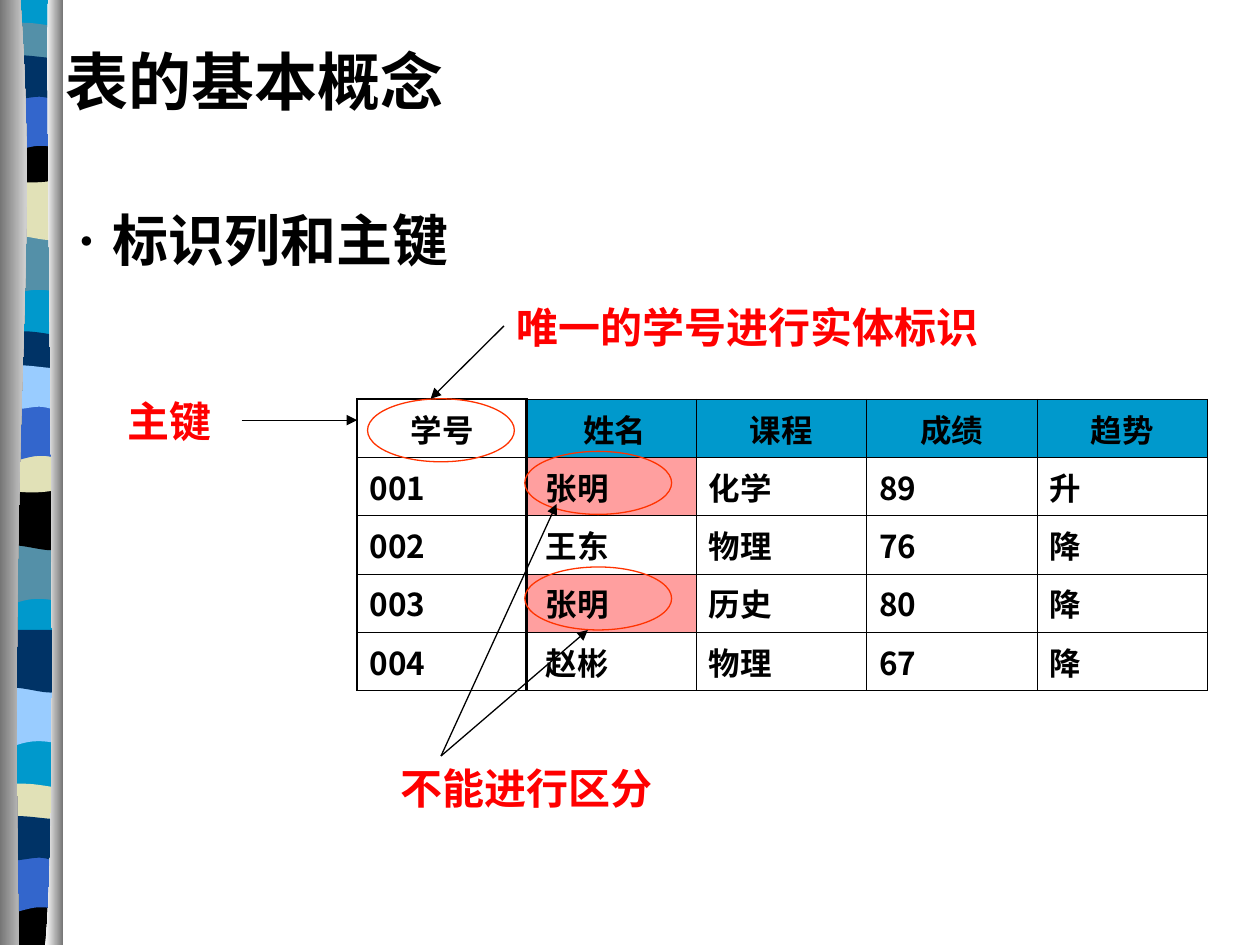
from dataclasses import dataclass
from typing import NamedTuple, Optional

from lxml.etree import SubElement
from pptx import Presentation
from pptx.dml.color import RGBColor
from pptx.enum.shapes import MSO_CONNECTOR as Connector, MSO_SHAPE as Preset
from pptx.enum.text import MSO_ANCHOR as Anchor, MSO_AUTO_SIZE as AutoSize, PP_ALIGN as Align
from pptx.oxml.ns import qn
from pptx.util import Cm, Pt


@dataclass(frozen=True)
class Theme:
    black: str = "000000"
    cyan: str = "0099CC"
    teal: str = "5490A8"
    sand: str = "E1E1B7"
    blue: str = "3366CC"
    navy: str = "003366"
    sky: str = "99CCFF"
    grey: str = "767676"
    white: str = "FFFFFF"
    pink: str = "FF9F9F"
    red: str = "FF0000"
    ring: str = "FF3300"
    chinese: str = "Noto Sans CJK SC"
    title_size: int = 36
    topic_size: int = 32
    label_size: int = 24
    cell_size: int = 18
    thin: float = 0.45
    arrow: float = 0.75
    thick: float = 1.08


THEME = Theme()


class Box(NamedTuple):
    left: float
    top: float
    width: float
    height: float

    def lengths(self):
        return [Cm(value) for value in self]


class Band(NamedTuple):
    outline: str
    top: float
    color: str


class Arrow(NamedTuple):
    start: tuple
    end: tuple
    source: Optional[str] = None
    site: int = 0


class Style(NamedTuple):
    font: str
    size: int
    color: str = THEME.black


# Outlines in cm: pairs are line ends, sextuples are Bézier segments
W = 1.19
OUTLINES = {
    "ribbon": [(W, 0), (W, 19), (0, 19), (0, 0)],
    "dip": [(W, 0), (W, 1.19), (0.38, 0.97, 0.2, 1.37, 0, 1.19), (0, 0)],
    "swell": [(W, 0), (W, 1.19), (0.99, 1.4, 0.38, 1.07, 0, 1.19), (0, 0)],
    "narrow": [(W, 0.13), (W, 0.74), (0.99, 0.84, 0.2, 0.84, 0, 0.74), (0, 0.13),
               (0.08, 0, 0.25, 0.03, 0.46, 0.03), (0.66, 0.03, 1.04, 0.1, W, 0.13)],
    "bowl": [(W, 0), (W, 0.84), (0.99, 0.97, 0.2, 0.97, 0, 0.84), (0, 0),
             (0.74, 0.13, 0.94, 0, W, 0)],
    "base": [(W, 0), (W, 0.96), (0, 0.96), (0, 0), (0.74, 0.13, 0.94, 0, W, 0)],
    "arch": [(W, 0), (W, 1.19), (1.02, 1.04, 0.94, 1.04, 0.74, 1.04),
             (0.53, 1.04, 0.18, 1.19, 0, 1.19), (0, 0)],
    "ripple": [(W, 0.13), (W, 0.91), (1.12, 1.04, 0.94, 0.91, 0.74, 0.91),
               (0.53, 0.91, 0.13, 1.04, 0, 0.91), (0, 0.13),
               (0.18, 0, 0.81, 0.13, 1.02, 0.13), (1.22, 0.13, 1.14, 0.13, W, 0.13)],
    "left spine": [(0.41, 0), (0.79, 5.51, 0.18, 7.52, 0.38, 19.05), (0, 19.05), (0, 0)],
    "right spine": [(0.97, 0), (0.91, 3.18, 1.22, 16.43, 0.91, 19.05), (1.27, 19.05), (1.27, 0)],
}
BANDS = [
    Band("ribbon", 0, THEME.cyan),
    Band("dip", 4.72, THEME.teal), Band("swell", 3.58, THEME.sand),
    Band("narrow", 0.43, THEME.teal), Band("bowl", 2.74, THEME.black),
    Band("arch", 1.9, THEME.blue), Band("ripple", 1.04, THEME.navy),
    Band("dip", 10.95, THEME.teal), Band("swell", 9.83, THEME.black),
    Band("narrow", 6.65, THEME.navy), Band("bowl", 8.99, THEME.sand),
    Band("arch", 8.15, THEME.blue), Band("ripple", 7.29, THEME.sky),
    Band("dip", 13.82, THEME.sky), Band("swell", 12.7, THEME.navy),
    Band("narrow", 15.77, THEME.sand), Band("base", 18.09, THEME.black),
    Band("arch", 17.25, THEME.blue), Band("ripple", 16.38, THEME.navy),
]
COURSES = [
    [" 姓名", "课程", "成绩", "趋势"],
    [" 张明", "化学", "89", "升"],
    [" 王东", "物理", "76", "降"],
    [" 张明", "历史", "80", "降"],
    [" 赵彬", "物理", "67", "降"],
]
STUDENT_IDS = [["学号"], ["001"], ["002"], ["003"], ["004"]]
LABELS = {
    "唯一的学号进行实体标识": Box(10.16, 5.93, 13.76, 1.28),
    "不能进行区分": Box(7.83, 15.24, 7.62, 1.28),
    "主键": Box(2.33, 7.83, 2.54, 1.28),
}
RINGS = [(7.41, 8.04), (10.58, 11.43), (10.58, 9.1)]
ARROWS = [
    Arrow((10.16, 6.57), (8.68, 8.04), "唯一的学号进行实体标识", 1),
    Arrow((8.89, 15.24), (11.85, 12.7)),
    Arrow((8.89, 15.24), (11.22, 10.16)),
    Arrow((4.87, 8.47), (7.2, 8.47), "主键", 3),
]


def rgb(color: str) -> RGBColor:
    return RGBColor.from_string(color)


def set_all(target, values: dict) -> None:
    for name, value in values.items():
        setattr(target, name, value)


def draw_outline(slide, name: str, left: float = 0, top: float = 0):
    start, *segments = OUTLINES[name]
    points = [(Cm(left + x), Cm(top + y))
              for segment in segments for x, y in zip(segment[::2], segment[1::2])]
    builder = slide.shapes.build_freeform(Cm(left + start[0]), Cm(top + start[1]), scale=1.0)
    builder.add_line_segments(points, close=True)
    shape = builder.convert_to_shape()
    # Join each run of three points into one curve
    steps = iter(list(shape._element.iter(qn("a:lnTo"))))
    for segment in segments:
        step = next(steps)
        if len(segment) == 6:
            step.tag = qn("a:cubicBezTo")
            for _ in range(2):
                extra = next(steps)
                step.append(extra[0])
                extra.getparent().remove(extra)
    shape.shadow.inherit = False
    shape.line.fill.background()
    return shape


def paint(shape, color: str) -> None:
    shape.fill.solid()
    shape.fill.fore_color.rgb = rgb(color)


def shade(shape, colors: tuple) -> None:
    shape.fill.gradient()
    shape.fill.gradient_angle = 0
    for stop, color, position in zip(shape.fill.gradient_stops, colors, (0, 1)):
        stop.position = position
        stop.color.rgb = rgb(color)


def write(frame, text: str, style: Style, frame_format: dict, paragraph_format: dict):
    set_all(frame, {"word_wrap": True, **frame_format})
    paragraph = frame.paragraphs[0]
    set_all(paragraph, paragraph_format)
    run = paragraph.add_run()
    run.text = text
    set_all(run.font, {"name": style.font, "size": Pt(style.size), "bold": True})
    run.font.color.rgb = rgb(style.color)
    SubElement(run.font._element, qn("a:ea"), typeface=THEME.chinese)
    return paragraph


def add_text(slide, text: str, box: Box, style: Style, frame_format: dict, paragraph_format: dict):
    holder = slide.shapes.add_textbox(*box.lengths())
    return holder, write(holder.text_frame, text, style, frame_format, paragraph_format)


def set_borders(cell, widths: dict) -> None:
    properties = cell._tc.get_or_add_tcPr()
    for index, (side, width) in enumerate(widths.items()):
        line = SubElement(properties, qn(f"a:ln{side}"), w=str(int(Pt(width))))
        SubElement(SubElement(line, qn("a:solidFill")), qn("a:srgbClr"), val=THEME.black)
        properties.insert(index, line)


def add_grid(slide, rows: list, box: Box, fills: dict, middle: bool, outer: float) -> None:
    table = slide.shapes.add_table(len(rows), len(rows[0]), *box.lengths()).table
    set_all(table, {"first_row": False, "horz_banding": False})
    last = len(rows) - 1
    for r, row in enumerate(rows):
        for c, text in enumerate(row):
            cell = table.cell(r, c)
            cell.vertical_anchor = Anchor.MIDDLE if middle and r else Anchor.TOP
            write(cell.text_frame, text, Style(THEME.chinese, THEME.cell_size), {},
                  {"alignment": Align.LEFT if r else Align.CENTER, "space_after": Pt(3.4)})
            color = fills.get((r, c))
            if color:
                paint(cell, color)
            else:
                cell.fill.background()
            set_borders(cell, {"L": outer, "R": outer,
                               "T": THEME.thin if r else outer,
                               "B": outer if r == last else THEME.thin})


def add_arrow(slide, arrow: Arrow, labels: dict) -> None:
    ends = [Cm(value) for value in arrow.start + arrow.end]
    line = slide.shapes.add_connector(Connector.STRAIGHT, *ends)
    if arrow.source:
        line.begin_connect(labels[arrow.source], arrow.site)
    line.line.color.rgb = rgb(THEME.black)
    line.line.width = Pt(THEME.arrow)
    SubElement(line.line._get_or_add_ln(), qn("a:tailEnd"), type="triangle")
    SubElement(line._element.spPr, qn("a:effectLst"))


def add_ring(slide, box: Box) -> None:
    ring = slide.shapes.add_shape(Preset.OVAL, *box.lengths())
    ring.shadow.inherit = False
    ring.fill.background()
    ring.line.color.rgb = rgb(THEME.ring)
    ring.line.width = Pt(THEME.arrow)


def main() -> None:
    deck = Presentation()
    set_all(deck, {"slide_width": Cm(25.4), "slide_height": Cm(19.05)})
    slide = deck.slides.add_slide(deck.slide_layouts[6])

    # Ribbon between two metal spines
    for band in BANDS:
        paint(draw_outline(slide, band.outline, 0.05, band.top), band.color)
    shade(draw_outline(slide, "left spine"), (THEME.grey, THEME.white))
    shade(draw_outline(slide, "right spine"), (THEME.white, THEME.grey))

    # Title
    add_text(slide, "表的基本概念", Box(1.07, 0.42, 23.5, 2.4),
             Style("Cabin", THEME.title_size), {"vertical_anchor": Anchor.MIDDLE}, {})

    # Tables: the key column stands left of the course table
    fills = {(0, c): THEME.cyan for c in range(4)} | {(r, 0): THEME.pink for r in (1, 3)}
    add_grid(slide, COURSES, Box(10.6, 8.05, 13.74, 5.87), fills, True, THEME.thin)
    add_grid(slide, STUDENT_IDS, Box(7.2, 8.05, 3.43, 5.87), {}, False, THEME.thick)

    # Bulleted topic
    _, topic = add_text(slide, "标识列和主键", Box(1.06, 4.02, 16.3, 1.9),
                        Style("Arial Narrow", THEME.topic_size), {},
                        {"alignment": Align.JUSTIFY, "space_before": Pt(8)})
    bullet = topic._p.get_or_add_pPr()
    bullet.set("marL", str(Cm(0.95)))
    bullet.set("indent", str(-Cm(0.95)))
    SubElement(SubElement(bullet, qn("a:buClr")), qn("a:srgbClr"), val=THEME.black)
    SubElement(bullet, qn("a:buSzPct"), val="80000")
    SubElement(bullet, qn("a:buFont"), typeface=THEME.chinese)
    SubElement(bullet, qn("a:buChar"), char="•")

    # Red notes, rings and arrows
    labels = {}
    for text, box in LABELS.items():
        labels[text], _ = add_text(
            slide, text, box, Style("Cambria", THEME.label_size, THEME.red),
            {"vertical_anchor": Anchor.BOTTOM, "auto_size": AutoSize.SHAPE_TO_FIT_TEXT},
            {"space_before": Pt(15)})
    for left, top in RINGS:
        add_ring(slide, Box(left, top, 2.96, 1.27))
    for arrow in ARROWS:
        add_arrow(slide, arrow, labels)

    deck.save("out.pptx")


if __name__ == "__main__":
    main()
